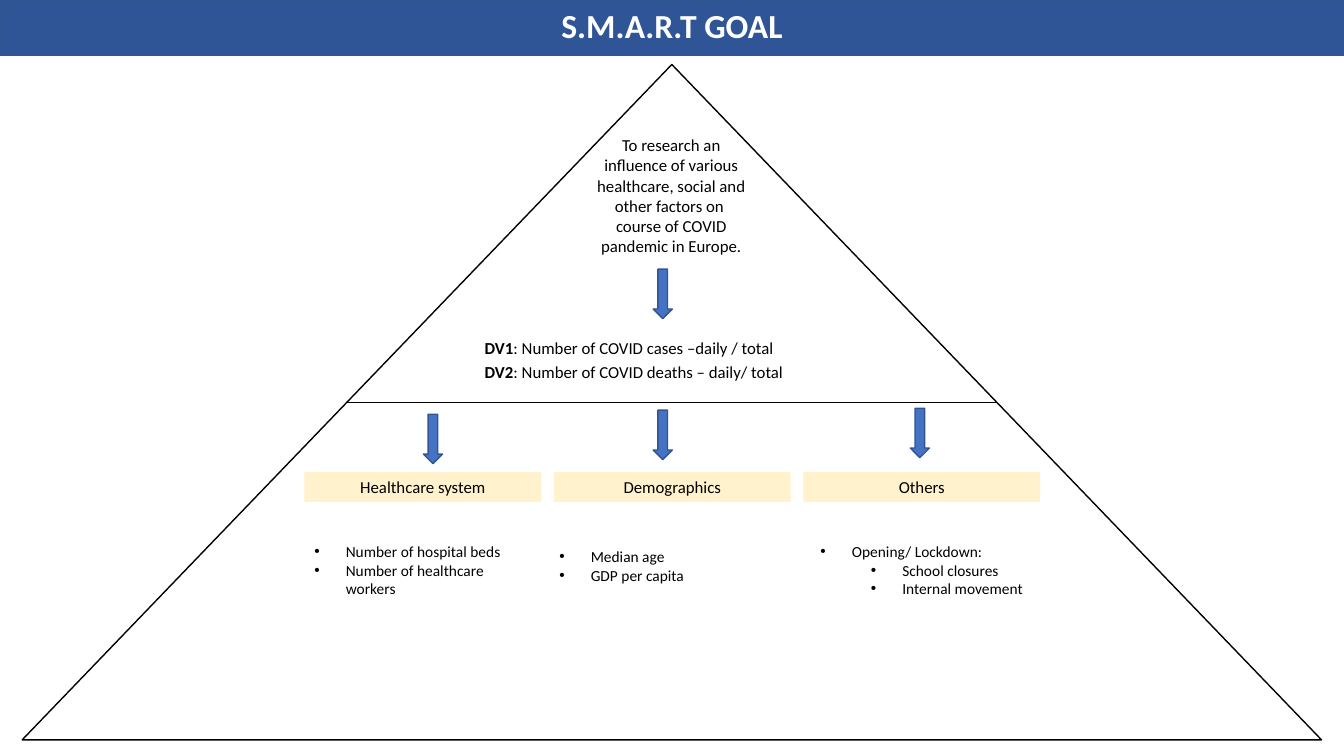
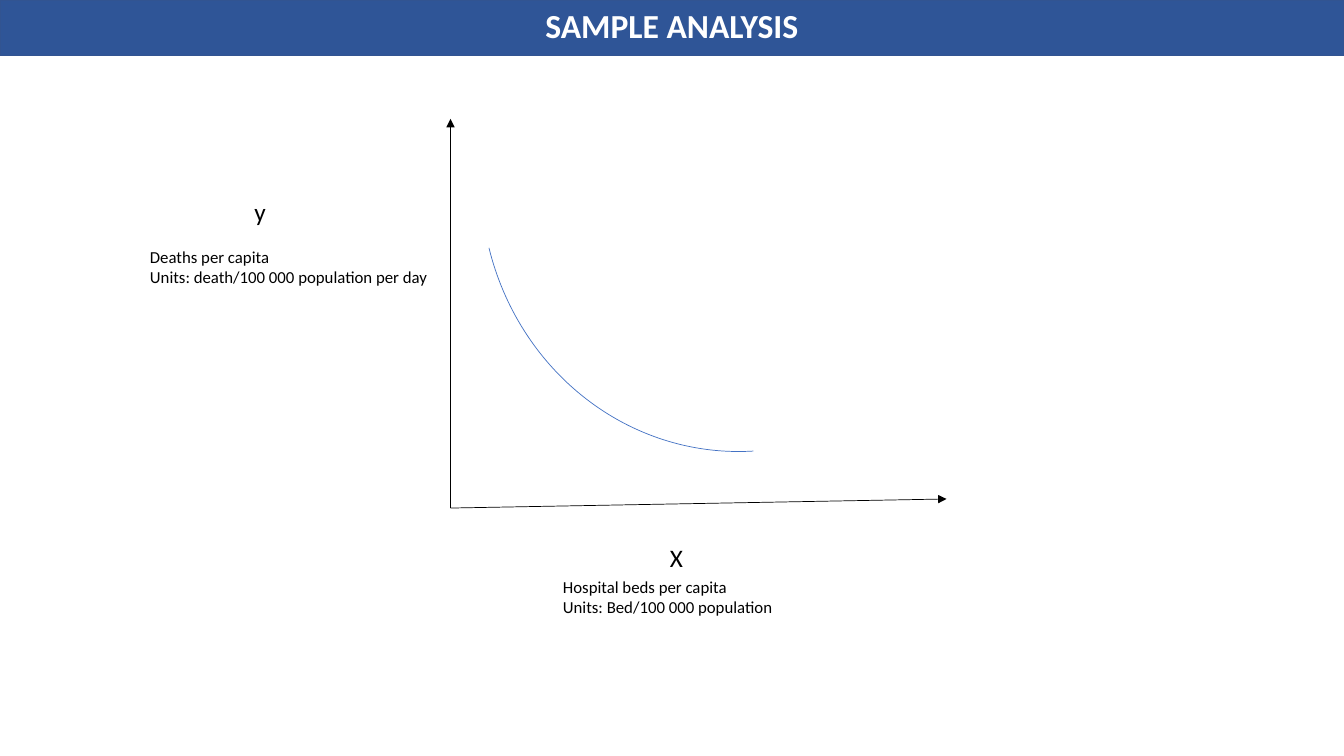
"""Build a two-slide deck: a goal pyramid and a sample analysis curve."""
from collections import namedtuple

from lxml.etree import SubElement as Sub
from pptx import Presentation
from pptx.dml.color import RGBColor as Rgb
from pptx.enum.shapes import MSO_CONNECTOR as Link, MSO_SHAPE as Kind
from pptx.enum.text import PP_ALIGN as Align
from pptx.oxml.ns import qn
from pptx.util import Pt

Theme = namedtuple("Theme", "band edge blue cream ink white title body list axis")
theme = Theme(
    band=Rgb.from_string("2F5597"),
    edge=Rgb.from_string("325491"),
    blue=Rgb.from_string("4472C4"),
    cream=Rgb.from_string("FFF2CC"),
    ink=Rgb.from_string("000000"),
    white=Rgb.from_string("FFFFFF"),
    title={"name": "Calibri", "size": Pt(24), "bold": True},
    body={"name": "Calibri", "size": Pt(12), "bold": False},
    list={"name": "Calibri", "size": Pt(11), "bold": False},
    axis={"name": "Calibri", "size": Pt(18), "bold": False},
)
strong = {**theme.body, "bold": True}


def draw(page, kind, box, fill=None, line=None, width=1):
    """Add a preset shape with the given fill and line."""
    shape = page.shapes.add_shape(kind, *map(Pt, box))
    shape.shadow.inherit = False
    if fill is None:
        shape.fill.background()
    else:
        shape.fill.solid()
        shape.fill.fore_color.rgb = fill
    if line is None:
        shape.line.fill.background()
    else:
        shape.line.color.rgb = line
        shape.line.width = Pt(width)
    return shape


def write(shape, rows, *forms, align=Align.LEFT, ink=theme.ink):
    """Fill a shape with rows of text, each part in its own format."""
    frame = shape.text_frame
    frame.word_wrap = True
    for spot, row in enumerate(rows):
        para = frame.add_paragraph() if spot else frame.paragraphs[0]
        para.alignment = align
        parts = [row] if isinstance(row, str) else row
        for part, form in zip(parts, forms):
            run = para.add_run()
            run.text = part
            run.font.color.rgb = ink
            for key, value in form.items():
                setattr(run.font, key, value)
    return frame.paragraphs


deck = Presentation()
deck.slide_width, deck.slide_height = Pt(960), Pt(540)

pages = []
for title in ("S.M.A.R.T GOAL", "SAMPLE ANALYSIS"):
    page = deck.slides.add_slide(deck.slide_layouts[6])
    draw(page, Kind.RECTANGLE, (0, 0, 960, 39.6), theme.band, theme.edge)
    head = page.shapes.add_textbox(0, 0, Pt(960), Pt(36))
    write(head, [title], theme.title, align=Align.CENTER, ink=theme.white)
    pages.append(page)
goal, study = pages

draw(goal, Kind.ISOSCELES_TRIANGLE, (15.84, 46.08, 928.08, 482.4), line=theme.ink)

for spot, name in enumerate(("Healthcare system", "Demographics", "Others")):
    label = draw(goal, Kind.RECTANGLE, (217.44 + 178.2 * spot, 337, 169.2, 21.6), theme.cream)
    write(label, [name], theme.body, align=Align.CENTER)

lists = (
    (578.9, 383.8, (("Opening/ Lockdown:", 0), ("School closures", 1), ("Internal movement", 1))),
    (392.4, 387.4, (("Median age ", 0), ("GDP per capita", 0))),
    (217.4, 383.8, (("Number of hospital beds", 0), ("Number of healthcare workers", 0))),
)
for left, top, items in lists:
    box = goal.shapes.add_textbox(Pt(left), Pt(top), Pt(164.2), Pt(47.5))
    paras = write(box, [text for text, level in items], theme.list)
    for para, (text, level) in zip(paras, items):
        para.level = level
        props = para._p.get_or_add_pPr()
        props.set("marL", str(Pt(22.5 + 36 * level)))
        props.set("indent", str(Pt(-22.5)))
        Sub(props, qn("a:buFont")).set("typeface", "Arial")
        Sub(props, qn("a:buChar")).set("char", "•")

for left, top in ((466.56, 192.24), (302.4, 295.9), (466.56, 293), (650.2, 291.6)):
    draw(goal, Kind.DOWN_ARROW, (left, top, 13.7, 35.3), theme.blue, theme.edge)

curve = draw(study, Kind.ARC, (343.44, -62.64, 365.76, 385.2), line=theme.blue, width=0.5)
curve.rotation = 176.5
curve.adjustments[0], curve.adjustments[1] = 162, 209.17

aim = ("To research an influence of various healthcare, social and "
       "other factors on  course of COVID pandemic in Europe.")
cases = ("DV1", ": Number of COVID cases –daily / total ")
deaths = ("DV2", ": Number of COVID deaths – daily/ total")
rate = ("Deaths per capita", "Units: death/100 000 population per day")
beds = ("Hospital beds per capita ", "Units: Bed/100 000 population")
notes = (
    (goal, (414.7, 92.9, 129.6, 94.3), [aim], [theme.body], Align.CENTER),
    (goal, (339.1, 237.6, 268.6, 21.6), [cases], [strong, theme.body], Align.LEFT),
    (goal, (339.1, 254.9, 301, 21.6), [deaths], [strong, theme.body], Align.LEFT),
    (study, (100, 172.8, 262, 36), rate, [theme.body], Align.LEFT),
    (study, (402.5, 383.8, 161.3, 28.8), ["X"], [theme.axis], Align.CENTER),
    (study, (138.2, 136.8, 95, 28.8), ["y"], [theme.axis], Align.CENTER),
    (study, (395, 408.2, 262, 36), beds, [theme.body], Align.LEFT),
)
for page, area, rows, forms, align in notes:
    box = page.shapes.add_textbox(*map(Pt, area))
    write(box, rows, *forms, align=align)

lines = (
    (goal, (247.7, 287.3, 712.1, 287.3), False),
    (study, (321.8, 362.9, 321.8, 85), True),
    (study, (321.8, 362.9, 676.1, 356.4), True),
)
for page, ends, tip in lines:
    line = page.shapes.add_connector(Link.STRAIGHT, *map(Pt, ends))
    line.line.color.rgb = theme.ink
    line.line.width = Pt(0.5)
    if tip:
        Sub(line.line._get_or_add_ln(), qn("a:tailEnd")).set("type", "triangle")
    Sub(line._element.spPr, qn("a:effectLst"))

deck.save("out.pptx")
